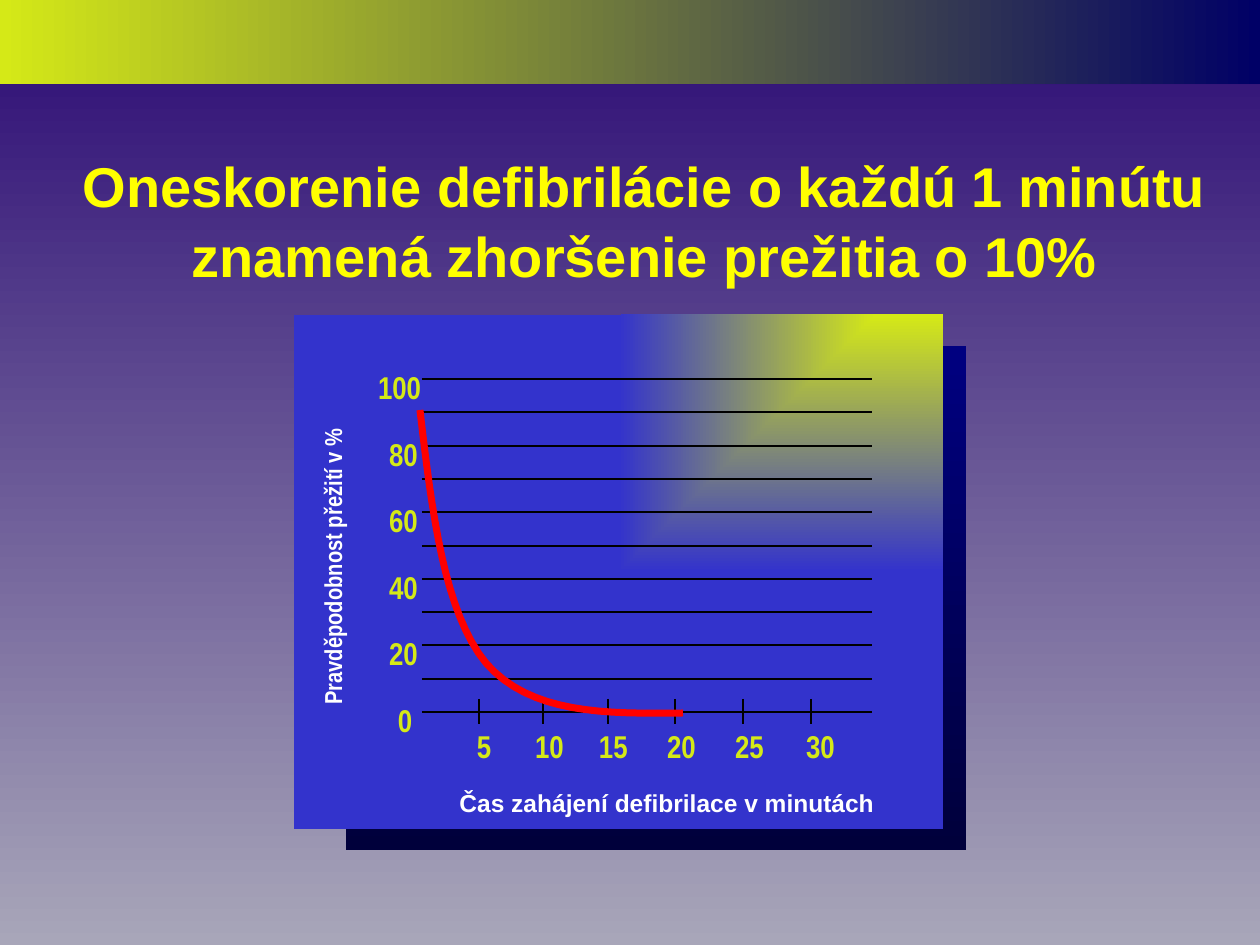
from lxml import etree
from pptx import Presentation
from pptx.dml.color import RGBColor
from pptx.enum.shapes import MSO_CONNECTOR as Link, MSO_SHAPE as Kind
from pptx.enum.text import MSO_ANCHOR as Anchor, MSO_AUTO_SIZE as Fit, PP_ALIGN as Align
from pptx.oxml.ns import qn
from pptx.util import Pt

PX = 7257.14  # EMU in one px, 126 px to the inch
LIME, BLACK, WHITE = "D5E917", "000000", "FFFFFF"
NARROW = "Arial Narrow"
# px: Bezier pieces of the survival curve, each starts where the last ended
START = (420, 410)
CURVE = [((432, 512), (444, 612), (486, 663)),
         ((530, 714), (606, 714), (683, 713))]
SCALE = [(100, 378), (80, 389), (60, 389), (40, 389), (20, 389), (0, 398)]
# minutes, tick x, label x, label width
TICKS = [(5, 479, 464, 40), (10, 543, 522, 55), (15, 608, 586, 55),
         (20, 675, 654, 55), (25, 743, 722, 55), (30, 811, 793, 55)]


def emu(px):
    return round(px * PX)


def color(code):
    return RGBColor.from_string(code)


def blend(fill, first, last, angle=0):
    fill.gradient()
    fill.gradient_angle = angle
    for stop, code in zip(fill.gradient_stops, (first, last)):
        stop.color.rgb = color(code)


def corner(shape):
    """Turn a linear gradient into one that spreads from the top right."""
    grad = shape._element.spPr.find(qn("a:gradFill"))
    grad.remove(grad.find(qn("a:lin")))
    way = etree.SubElement(grad, qn("a:path"), path="rect")
    etree.SubElement(way, qn("a:fillToRect"), l="100000", b="100000")


def panel(slide, x, y, w, h, first, last, angle=0):
    shape = slide.shapes.add_shape(Kind.RECTANGLE, *map(emu, (x, y, w, h)))
    shape.shadow.inherit = False
    shape.line.fill.background()
    blend(shape.fill, first, last, angle)
    return shape


def line(slide, x1, y1, x2, y2, width=0.75):
    item = slide.shapes.add_connector(Link.STRAIGHT, *map(emu, (x1, y1, x2, y2)))
    item.line.color.rgb = color(BLACK)
    item.line.width = Pt(width)
    etree.SubElement(item._element.spPr, qn("a:effectLst"))


def write(box, text, size=18, font=NARROW, code=LIME, align=Align.LEFT,
          wrap=False, fit=Fit.SHAPE_TO_FIT_TEXT, pad=(13, 6), space=None):
    frame = box.text_frame
    frame.text = text
    frame.word_wrap = wrap
    frame.auto_size = fit
    frame.vertical_anchor = Anchor.TOP
    frame.margin_left = frame.margin_right = emu(pad[0])
    frame.margin_top = frame.margin_bottom = emu(pad[1])
    for para in frame.paragraphs:
        para.alignment = align
        para.line_spacing = space
        for run in para.runs:
            run.font.name = font
            run.font.size = Pt(size)
            run.font.bold = True
            run.font.color.rgb = color(code)


def label(slide, text, x, y, w, h, **style):
    box = slide.shapes.add_textbox(*map(emu, (x, y, w, h)))
    write(box, text, **style)
    return box


def trace(start, pieces, steps=16):
    """Points along joined cubic Bezier pieces, without the first."""
    for a, b, end in pieces:
        for i in range(1, steps + 1):
            t = i / steps
            u = 1 - t
            yield tuple(emu(u**3 * p + 3 * u * u * t * q + 3 * u * t * t * r + t**3 * s)
                        for p, q, r, s in zip(start, a, b, end))
        start = end


def curve(slide):
    pen = slide.shapes.build_freeform(*map(emu, START), scale=1.0)
    pen.add_line_segments(list(trace(START, CURVE)), close=False)
    shape = pen.convert_to_shape()
    shape.shadow.inherit = False
    shape.fill.background()
    shape.line.color.rgb = color("FF0000")
    shape.line.width = Pt(4)


def grid(slide):
    for i in range(11):
        y = round(379 + 33.3 * i)
        line(slide, 422, y, 872, y)
    for i, (value, x) in enumerate(SCALE):
        label(slide, str(value), x, round(368 + 66.6 * i),
              15 * len(str(value)), 38, pad=(0, 0))
    for value, tick, x, w in TICKS:
        line(slide, tick, 699, tick, 724, 1)
        label(slide, str(value), x, 721, w, 50)


def main():
    deck = Presentation()
    deck.slide_width, deck.slide_height = emu(1260), emu(945)
    slide = deck.slides.add_slide(deck.slide_layouts[5])

    # Background, top band and title
    blend(slide.background.fill, "2B0A74", "A8A6B9", 270)
    panel(slide, 0, 0, 1260, 84, LIME, "000066")
    title = slide.shapes.title
    title.left, title.top, title.width, title.height = map(emu, (69, 143, 1152, 217))
    write(title, "Oneskorenie defibrilácie o každú 1 minútu\n"
          "znamená zhoršenie prežitia o 10%", size=32, font="Arial",
          code="FFFF00", align=Align.CENTER, wrap=True, fit=Fit.NONE, space=1.04)

    # Chart panel over its dark backing
    panel(slide, 346, 346, 620, 504, "000080", "00003B", 270)
    corner(panel(slide, 294, 315, 649, 514, LIME, "3333CC"))

    # Axis titles
    names = dict(size=14, code=WHITE, align=Align.CENTER, wrap=True, pad=(25, 6))
    side = label(slide, "Pravděpodobnost přežití v %", 135, 547, 399, 39,
                 space=0.9, **names)
    side.rotation = 270
    label(slide, "Čas zahájení defibrilace v minutách", 420, 787, 494, 38,
          font="Arial", space=0.85, **names)

    # Grid, scales and survival curve
    grid(slide)
    curve(slide)
    deck.save("out.pptx")


if __name__ == "__main__":
    main()
